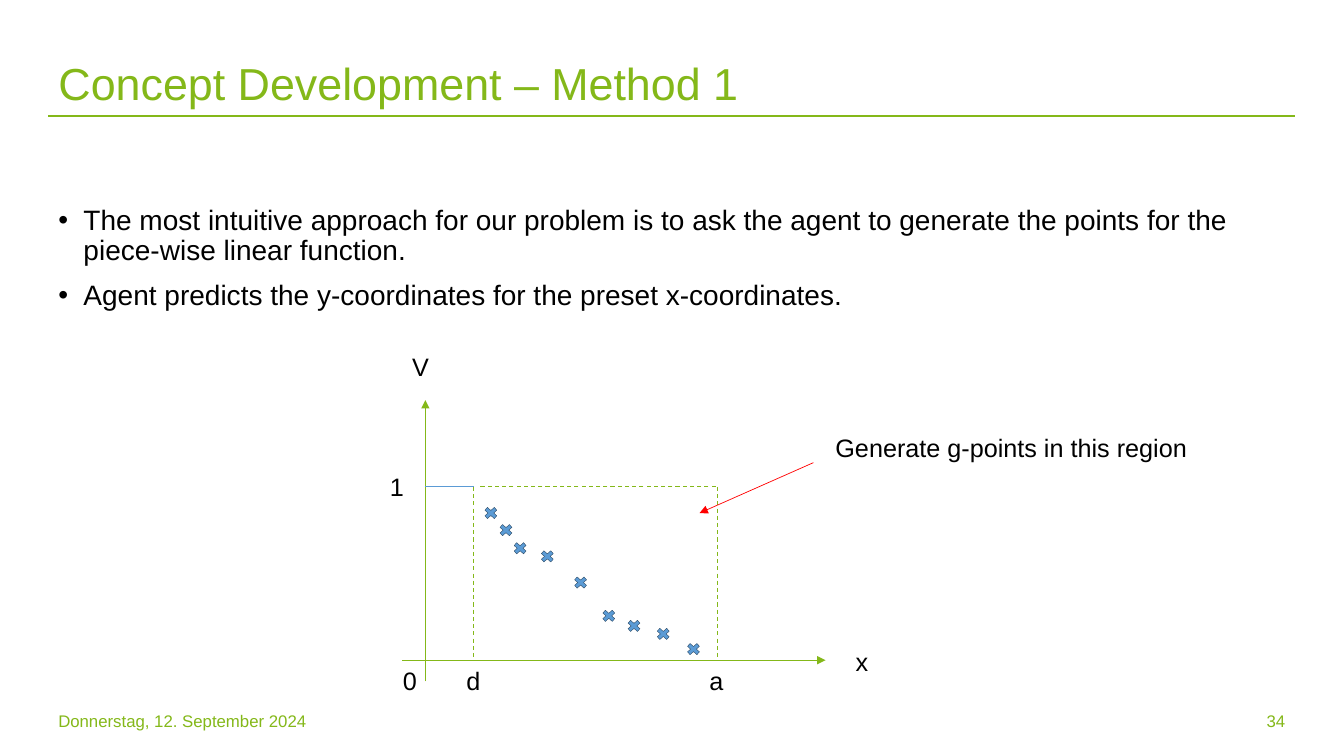
from collections import namedtuple
from dataclasses import dataclass

from lxml.etree import SubElement as Sub
from pptx import Presentation
from pptx.dml.color import RGBColor as Rgb
from pptx.enum.dml import MSO_LINE as Dash
from pptx.enum.shapes import MSO_CONNECTOR as Link, MSO_SHAPE as Form
from pptx.enum.text import MSO_ANCHOR as Anchor, MSO_AUTO_SIZE as Fit, PP_ALIGN as Align
from pptx.oxml.ns import qn
from pptx.util import Emu, Inches, Pt

Box = namedtuple("Box", "left top width height")


@dataclass(frozen=True)
class Theme:
    """Colours and type sizes of the deck."""

    font: str = "Arial"
    green: str = "84B819"
    blue: str = "5B9BD5"
    navy: str = "28445D"
    red: str = "FF0000"
    ink: str = "000000"
    title: int = 32
    body: int = 20
    label: int = 18
    foot: int = 12


THEME = Theme()


def color(code):
    """Turn a hex code into a colour."""
    return Rgb.from_string(code)


def write(frame, text, size=THEME.label, tint=THEME.ink, align=Align.LEFT,
          anchor=Anchor.TOP, bullet=False, lines=None, gap=0):
    """Fill a text frame with one paragraph per line of text."""
    frame.word_wrap = True
    frame.auto_size = Fit.NONE
    frame.vertical_anchor = anchor
    for i, part in enumerate(text.split("\n")):
        para = frame.add_paragraph() if i else frame.paragraphs[0]
        para.text = part
        para.alignment = align
        if bullet:
            props = para._p.get_or_add_pPr()
            props.set("marL", str(Inches(0.25)))
            props.set("indent", str(-Inches(0.25)))
            Sub(props, qn("a:buFont"), typeface=THEME.font)
            Sub(props, qn("a:buChar"), char="•")
        if lines:
            para.line_spacing = lines
        para.space_before = Pt(gap if i else 0)
        para.font.name = THEME.font
        para.font.size = Pt(size)
        para.font.color.rgb = color(tint)


def label(slide, box, text, **style):
    """Add a text box."""
    shape = slide.shapes.add_textbox(*map(Inches, box))
    write(shape.text_frame, text, **style)


def stroke(slide, start, end, tint=THEME.green, width=0.5, dash=False, arrow=False):
    """Draw a straight line between two points."""
    wire = slide.shapes.add_connector(Link.STRAIGHT, *map(Inches, (*start, *end)))
    wire.line.color.rgb = color(tint)
    wire.line.width = Pt(width)
    if dash:
        wire.line.dash_style = Dash.DASH
    if arrow:
        Sub(wire.line._get_or_add_ln(), qn("a:tailEnd"), type="triangle")
    Sub(wire._element.spPr, qn("a:effectLst"))


def head(slide, box):
    """Place the title and the rule below it."""
    title = slide.shapes.title
    title.left, title.top, title.width, title.height = map(
        Inches, (box.left, box.top, 8.43, box.height))
    write(title.text_frame, "Concept Development – Method 1", size=THEME.title,
          tint=THEME.green, anchor=Anchor.BOTTOM, lines=0.9)
    rule = box.top + box.height + 0.01
    stroke(slide, (box.left, rule), (box.left + box.width, rule), width=1.5)


def body(slide, box):
    """Place the bullet list."""
    label(slide, box,
          "The most intuitive approach for our problem is to ask the agent to generate "
          "the points for the piece-wise linear function.\n"
          "Agent predicts the y-coordinates for the preset x-coordinates.",
          size=THEME.body, bullet=True, lines=0.9, gap=10)


def plot(slide, box):
    """Sketch the graph on a grid of 40 by 26 cells from its origin."""
    cell = box.width / 40
    one, d, a = 17.2, 4.8, 29

    def at(col, row):
        """Map a grid point to the slide."""
        return box.left + col * cell, box.top + box.height - row * cell

    stroke(slide, at(-2.3, 0), at(39.7, 0), arrow=True)
    stroke(slide, at(0, -2.1), at(0, 25.8), arrow=True)
    stroke(slide, at(0, one), at(d, one), tint=THEME.blue)
    for start, end in (((d, one), (d, 0)), ((a, one), (a, 0)),
                       ((a - 0.2, one), (d + 0.4, one))):
        stroke(slide, at(*start), at(*end), width=0.75, dash=True)

    for text, col, row, width in (
            ("0", -3.2, 0, 4), ("d", 3.1, 0, 4), ("a", 27.2, 0, 4),
            ("1", -4.5, 19.2, 4), ("V", -2.3, 31.1, 4), ("x", 41.7, 1.9, 4),
            ("Generate g-points in this region", 39.7, 23.1, 37)):
        label(slide, Box(*at(col, row), width * cell, 4 * cell), text)
    stroke(slide, at(38.5, 19.6), at(27.2, 14.6), tint=THEME.red, arrow=True)

    wide, high = 1.8 * cell, 1.6 * cell
    for col, row in ((6.5, 14.6), (8, 12.9), (9.4, 11.1), (12.1, 10.3), (15.4, 7.7),
                     (18.2, 4.4), (20.7, 3.4), (23.6, 2.6), (26.6, 1.1)):
        x, y = at(col, row)
        mark = slide.shapes.add_shape(Form.MATH_MULTIPLY, *map(
            Inches, (x - wide / 2, y - high / 2, wide, high)))
        mark.shadow.inherit = False
        mark.fill.solid()
        mark.fill.fore_color.rgb = color(THEME.blue)
        mark.line.color.rgb = color(THEME.navy)
        mark.line.width = Pt(0.25)


def foot(slide, box):
    """Place the date and the page number at both ends."""
    width = 3
    right = box.left + box.width - width
    for left, text, align in ((box.left, "Donnerstag, 12. September 2024", Align.LEFT),
                              (right, "34", Align.RIGHT)):
        label(slide, Box(left, box.top, width, box.height), text, size=THEME.foot,
              tint=THEME.green, align=align, anchor=Anchor.MIDDLE)


def main():
    """Build and save the deck."""
    deck = Presentation()
    deck.slide_width, deck.slide_height = Emu(12192000), Inches(7.5)
    slide = deck.slides.add_slide(deck.slide_layouts[5])
    left, width = 0.48, 12.37
    head(slide, Box(left, 0.35, width, 0.79))
    body(slide, Box(left, 2, width, 1.3))
    plot(slide, Box(4.22, 3.95, 4, 2.6))
    foot(slide, Box(left, 6.95, width, 0.4))
    deck.save("out.pptx")


if __name__ == "__main__":
    main()
